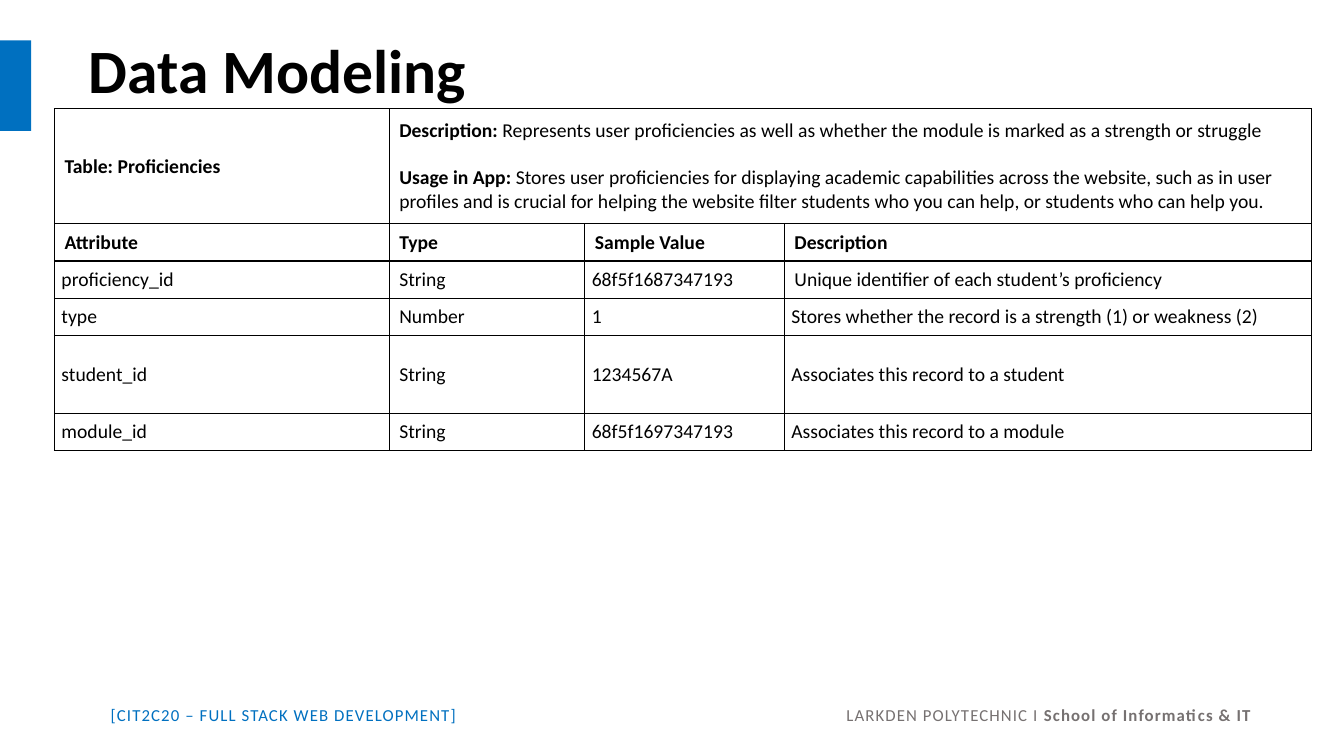
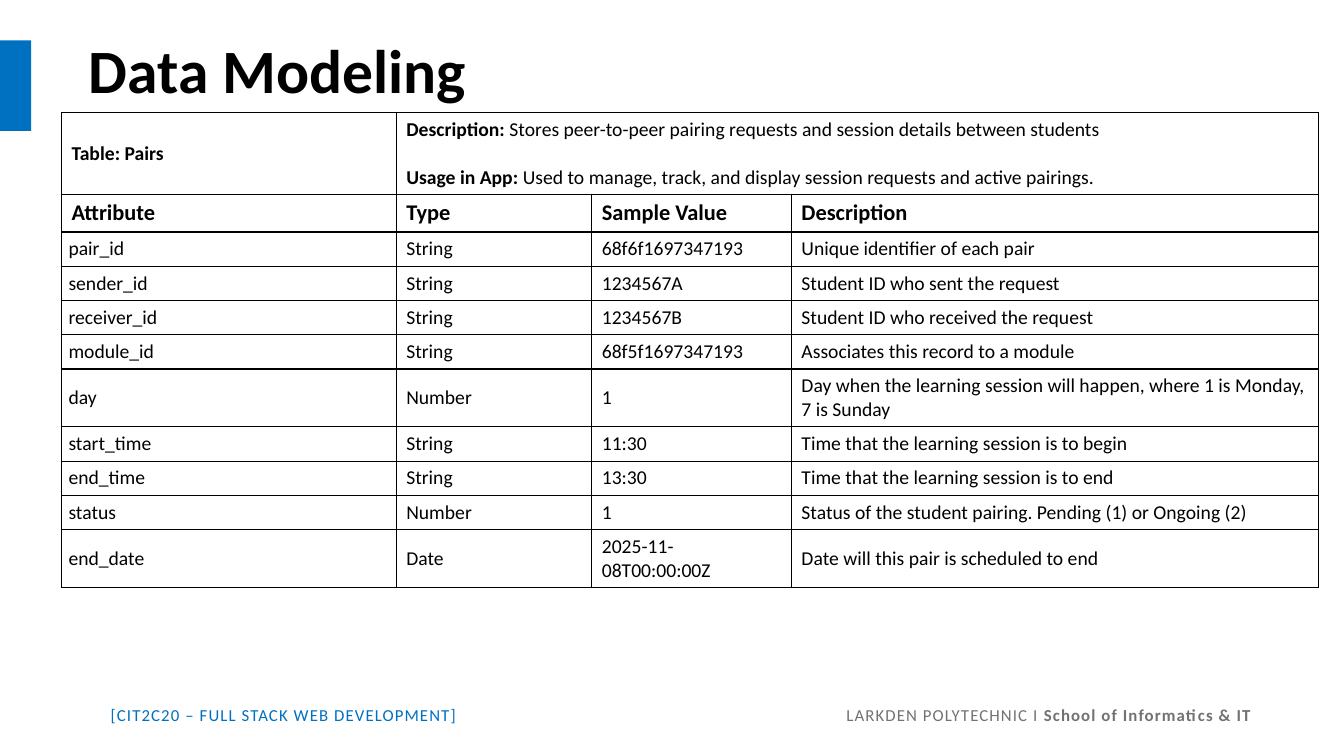
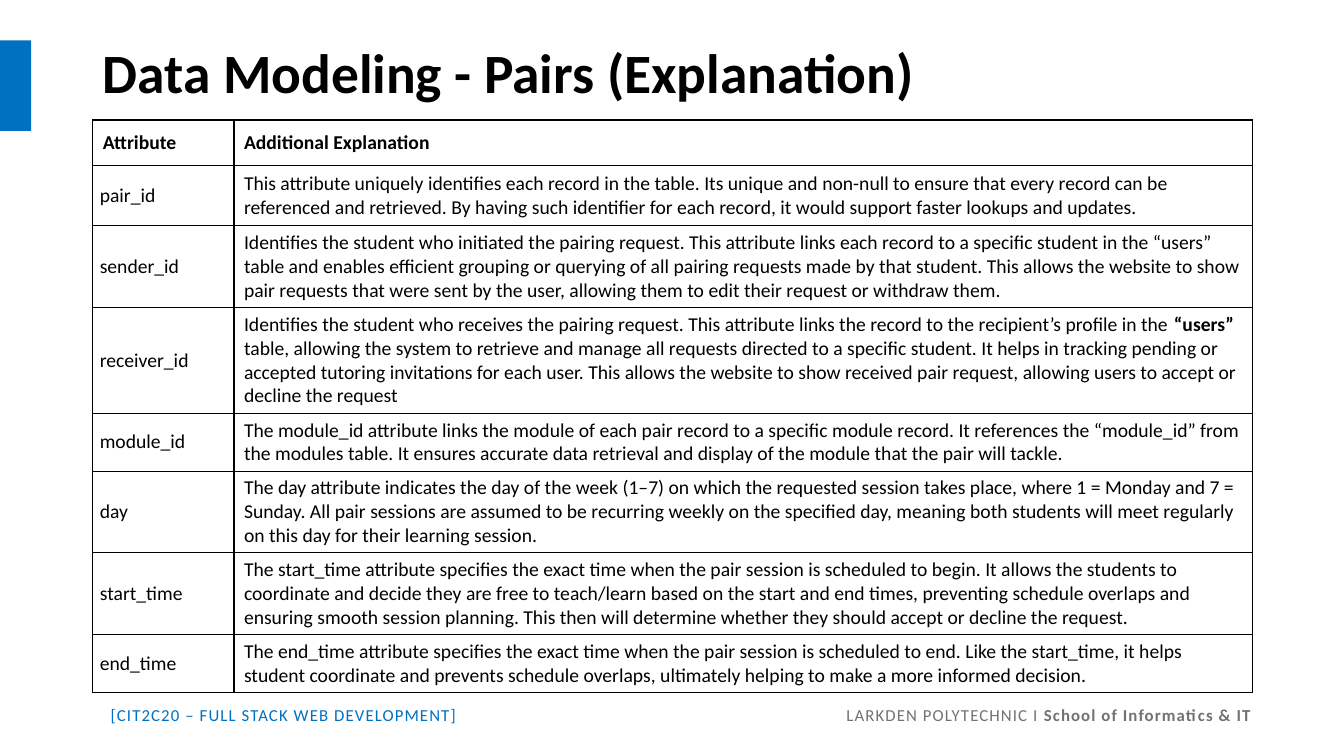
import lxml.etree
import pptx
import pptx.dml.color
import pptx.enum.shapes
import pptx.enum.text
import pptx.oxml
import pptx.oxml.ns
import pptx.util

# Shared look: 100 px to the inch
PX = 9144
FONT = "Calibri"
BLUE, GREY, BLACK, WHITE = "0070C0", "767171", "000000", "FFFFFF"
BODY_SIZE = 14
BLANK_LINE = 17
TITLE_BOX = (78, 0, 1150, 145)
RECORD_COLUMNS = (332, 194, 198, 523)
RECORD_HEADINGS = ("**Attribute**", "**Type**", "**Sample Value**", "**Description**")

PROFICIENCIES = (
    ("**Table: Proficiencies**",
     "**Description: **Represents user proficiencies as well as whether the module is "
     "marked as a strength or struggle\n"
     "**Usage in App: **Stores user proficiencies for displaying academic capabilities "
     "across the website, such as in user profiles and is crucial for helping the website "
     "filter students who you can help, or students who can help you."),
    RECORD_HEADINGS,
    ("proficiency_id", "String", "68f5f1687347193",
     "Unique identifier of each student’s proficiency"),
    ("type", "Number", "1", "Stores whether the record is a strength (1) or weakness (2)"),
    ("student_id", "String", "1234567A", "Associates this record to a student"),
    ("module_id", "String", "68f5f1697347193", "Associates this record to a module"),
)

PAIRS = (
    ("**Table: Pairs**",
     "**Description: **Stores peer-to-peer pairing requests and session details between "
     "students\n"
     "**Usage in App:** Used to manage, track, and display session requests and active "
     "pairings."),
    RECORD_HEADINGS,
    ("pair_id", "String", "68f6f1697347193", "Unique identifier of each pair"),
    ("sender_id", "String", "1234567A", "Student ID who sent the request"),
    ("receiver_id", "String", "1234567B", "Student ID who received the request"),
    ("module_id", "String", "68f5f1697347193", "Associates this record to a module"),
    ("day", "Number", "1",
     "Day when the learning session will happen, where 1 is Monday, 7 is Sunday"),
    ("start_time", "String", "11:30", "Time that the learning session is to begin"),
    ("end_time", "String", "13:30", "Time that the learning session is to end"),
    ("status", "Number", "1", "Status of the student pairing. Pending (1) or Ongoing (2)"),
    ("end_date", "Date", "2025-11-08T00:00:00Z", "Date will this pair is scheduled to end"),
)

EXPLANATIONS = (
    ("**Attribute**", "**Additional Explanation**"),
    ("pair_id",
     "This attribute uniquely identifies each record in the table. Its unique and non-null "
     "to ensure that every record can be referenced and retrieved. By having such "
     "identifier for each record, it would support faster lookups and updates."),
    ("sender_id",
     "Identifies the student who initiated the pairing request. This attribute links each "
     "record to a specific student in the “users” table and enables efficient grouping or "
     "querying of all pairing requests made by that student. This allows the website to "
     "show pair requests that were sent by the user, allowing them to edit their request "
     "or withdraw them."),
    ("receiver_id",
     "Identifies the student who receives the pairing request. This attribute links the "
     "record to the recipient’s profile in the **“users”** table, allowing the system to "
     "retrieve and manage all requests directed to a specific student. It helps in tracking "
     "pending or accepted tutoring invitations for each user. This allows the website to "
     "show received pair request, allowing users to accept or decline the request"),
    ("module_id",
     "The module_id attribute links the module of each pair record to a specific module "
     "record. It references the “module_id” from the modules table. It ensures accurate "
     "data retrieval and display of the module that the pair will tackle."),
    ("day",
     "The day attribute indicates the day of the week (1–7) on which the requested session "
     "takes place, where 1 = Monday and 7 = Sunday. All pair sessions are assumed to be "
     "recurring weekly on the specified day, meaning both students will meet regularly on "
     "this day for their learning session."),
    ("start_time",
     "The start_time attribute specifies the exact time when the pair session is scheduled "
     "to begin. It allows the students to coordinate and decide they are free to "
     "teach/learn based on the start and end times, preventing schedule overlaps and "
     "ensuring smooth session planning. This then will determine whether they should "
     "accept or decline the request."),
    ("end_time",
     "The end_time attribute specifies the exact time when the pair session is scheduled "
     "to end. Like the start_time, it helps student coordinate and prevents schedule "
     "overlaps, ultimately helping to make a more informed decision."),
)


def px(*lengths):
    return [pptx.util.Emu(length * PX) for length in lengths]


def color(value):
    return pptx.dml.color.RGBColor.from_string(value)


def style(span, size, ink=BLACK, bold=False):
    span.font.name = FONT
    span.font.size = pptx.util.Pt(size)
    span.font.bold = bold
    span.font.color.rgb = color(ink)


# Text: ** switches bold on and off
def write(para, text, size):
    for index, piece in enumerate(text.split("**")):
        if piece:
            span = para.add_run()
            span.text = piece
            style(span, size, bold=index % 2 == 1)


# Side band and footer, kept on the layout
def dress_layout(layout, page):
    for holder in list(layout.placeholders):
        if holder.placeholder_format.type != pptx.enum.shapes.PP_PLACEHOLDER.TITLE:
            holder.element.getparent().remove(holder.element)

    band = page.shapes.add_shape(pptx.enum.shapes.MSO_SHAPE.RECTANGLE, *px(0, 40, 31, 90))
    band.shadow.inherit = False
    band.fill.solid()
    band.fill.fore_color.rgb = color(BLUE)
    band.line.fill.background()

    footer = page.shapes.add_textbox(*px(100, 694, 1163, 30))
    footer.text_frame.word_wrap = True
    para = footer.text_frame.paragraphs[0]
    for text, ink, bold in (
        ("[CIT2C20 – FULL STACK WEB DEVELOPMENT]\t", BLUE, False),
        ("LARKDEN POLYTECHNIC I ", GREY, False),
        ("School of Informatics & IT", GREY, True),
    ):
        span = para.add_run()
        span.text = text
        style(span, 12, ink, bold)
        span._r.get_or_add_rPr().set("spc", "80")
    tabs = lxml.etree.SubElement(para._p.get_or_add_pPr(), pptx.oxml.ns.qn("a:tabLst"))
    lxml.etree.SubElement(tabs, pptx.oxml.ns.qn("a:tab"), pos=str(1131 * PX), algn="r")

    for shape in (band, footer):
        layout.shapes.element.append(shape.element)


def set_title(page, text, size=44, place=TITLE_BOX):
    box = page.shapes.title
    box.left, box.top, box.width, box.height = px(*place)
    frame = box.text_frame
    frame.text = text
    frame.word_wrap = True
    frame.auto_size = pptx.enum.text.MSO_AUTO_SIZE.NONE
    frame.vertical_anchor = pptx.enum.text.MSO_ANCHOR.MIDDLE
    para = frame.paragraphs[0]
    para.alignment = pptx.enum.text.PP_ALIGN.LEFT
    para.line_spacing = 0.9
    style(para.runs[0], size, bold=True)


# Tables
def set_borders(cell):
    properties = cell._tc.get_or_add_tcPr()
    for index, side in enumerate(("lnL", "lnR", "lnT", "lnB")):
        properties.insert(index, pptx.oxml.parse_xml(
            f'<a:{side} {pptx.oxml.ns.nsdecls("a")} w="12700"><a:solidFill>'
            f'<a:srgbClr val="{BLACK}"/></a:solidFill></a:{side}>'))


def fill_cell(cell, text, size, tight):
    cell.vertical_anchor = pptx.enum.text.MSO_ANCHOR.MIDDLE
    for index, line in enumerate(text.split("\n")):
        para = cell.text_frame.paragraphs[0] if index == 0 else cell.text_frame.add_paragraph()
        write(para, line, size)
        if index:
            para.space_before = pptx.util.Pt(BLANK_LINE)
        if tight:
            para.space_before = para.space_after = pptx.util.Pt(6)
    if tight:
        cell.margin_left, cell.margin_right, cell.margin_top, cell.margin_bottom = px(7, 7, 0, 0)


def add_grid(page, left, top, widths, heights, rows, heading_row,
             heading_size=BODY_SIZE, tight_columns=(0,), roomy_cells=()):
    table = page.shapes.add_table(
        len(heights), len(widths), *px(left, top, sum(widths), sum(heights))).table
    table.first_row = table.horz_banding = False
    for column, width in zip(table.columns, px(*widths)):
        column.width = width
    for row, height in zip(table.rows, px(*heights)):
        row.height = height
    for cell in table.iter_cells():
        cell.fill.solid()
        cell.fill.fore_color.rgb = color(WHITE)
        set_borders(cell)
    for r, texts in enumerate(rows):
        if len(texts) < len(widths):
            table.cell(r, len(texts) - 1).merge(table.cell(r, len(widths) - 1))
        for c, text in enumerate(texts):
            tight = r > heading_row and c in tight_columns and (r, c) not in roomy_cells
            size = heading_size if r == heading_row else BODY_SIZE
            fill_cell(table.cell(r, c), text, size, tight)


def main():
    deck = pptx.Presentation()
    deck.slide_width, deck.slide_height = px(1333, 750)
    layout = deck.slide_layouts.get_by_name("Title Only")

    # Proficiencies table
    page = deck.slides.add_slide(layout)
    dress_layout(layout, page)
    set_title(page, "Data Modeling")
    add_grid(page, 54, 108, RECORD_COLUMNS, (114, 37, 37, 37, 77, 37), PROFICIENCIES,
             heading_row=1, tight_columns=(0, 2, 3), roomy_cells=((2, 3),))

    # Pairs table
    page = deck.slides.add_slide(layout)
    set_title(page, "Data Modeling")
    add_grid(page, 61, 112, RECORD_COLUMNS, (81, 37, 34, 34, 34, 34, 57, 34, 34, 34, 57),
             PAIRS, heading_row=1, heading_size=16)

    # Pairs explained
    page = deck.slides.add_slide(layout)
    set_title(page, "Data Modeling - Pairs (Explanation)", 39.6, (92, 40, 1150, 70))
    add_grid(page, 92, 119, (140, 1010), (45, 60, 81, 105, 57, 81, 81, 57),
             EXPLANATIONS, heading_row=0)

    deck.save("out.pptx")


if __name__ == "__main__":
    main()
